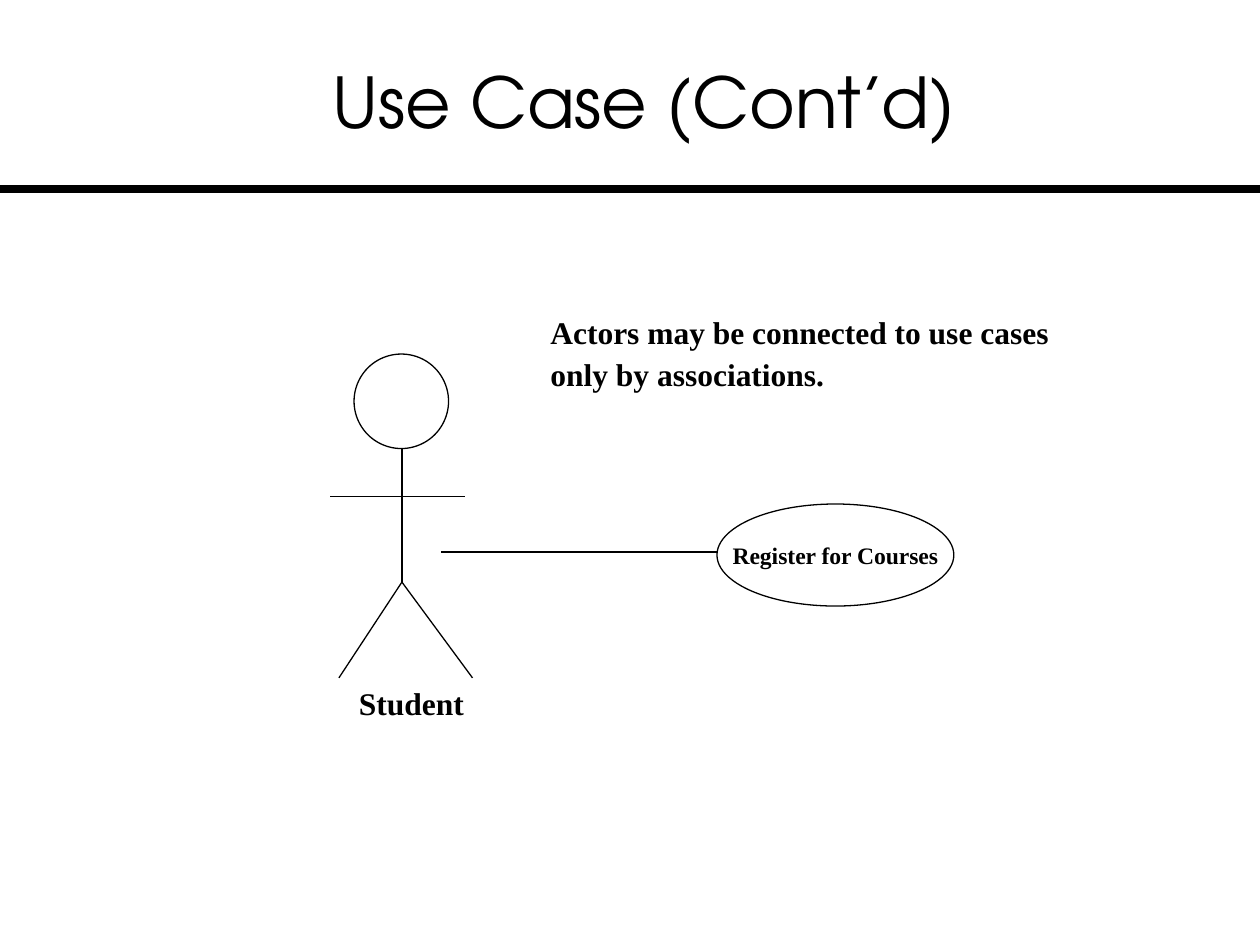
from lxml.etree import SubElement
from pptx import Presentation
from pptx.dml.color import RGBColor
from pptx.enum.shapes import MSO_CONNECTOR, MSO_SHAPE
from pptx.enum.text import MSO_ANCHOR, PP_ALIGN
from pptx.oxml.ns import qn
from pptx.util import Inches, Pt

# Content
TITLE = "Use Case (Cont’d)"
NOTE = ["Actors may be connected to use cases", "only by associations."]
ACTOR = "Student"
USE_CASE = "Register for Courses"

COLORS = {"ink": "000000", "paper": "FFFFFF"}
TITLE_FONT, BODY_FONT = "TeX Gyre Adventor", "Times New Roman"

# Stick figure joints, in inches
HEAD = (2.81, 2.81, 0.75, 0.75)
NECK, HIP = (3.19, 3.56), (3.19, 4.62)
HANDS = (2.62, 3.94), (3.69, 3.94)
FEET = (3.75, 5.38), (2.69, 5.38)

# Lines: start, end, width in points
LIMBS = [(NECK, HIP), *[(HIP, foot) for foot in FEET], HANDS]
LINES = [((0, 1.5), (10, 1.5), 4.5),  # rule under the title
         *[(start, end, 0.75) for start, end in LIMBS],
         ((3.5, 4.38), (5.69, 4.38), 1.5)]  # association


def color(name):
    return RGBColor.from_string(COLORS[name])


def add_line(page, start, end, width):
    line = page.shapes.add_connector(
        MSO_CONNECTOR.STRAIGHT, *[Inches(v) for v in (*start, *end)])
    line.line.color.rgb = color("ink")
    line.line.width = Pt(width)
    SubElement(line._element.spPr, qn("a:effectLst"))


def add_ellipse(page, place):
    ellipse = page.shapes.add_shape(MSO_SHAPE.OVAL, *[Inches(v) for v in place])
    ellipse.shadow.inherit = False
    ellipse.fill.background()
    ellipse.line.color.rgb = color("ink")
    ellipse.line.width = Pt(0.75)
    return ellipse


def write(frame, lines, size, font=BODY_FONT, bold=True, align=PP_ALIGN.LEFT,
          anchor=MSO_ANCHOR.MIDDLE, wrap=False, spacing=None):
    frame.word_wrap = wrap
    frame.vertical_anchor = anchor
    for index, text in enumerate(lines):
        para = frame.add_paragraph() if index else frame.paragraphs[0]
        para.alignment = align
        para.line_spacing = spacing
        para.space_before = Pt(size / 2 if index else 0)
        span = para.add_run()
        span.text = text
        span.font.name = font
        span.font.size = Pt(size)
        span.font.bold = bold
        span.font.color.rgb = color("ink")


def add_text(page, place, lines, **style):
    box = page.shapes.add_textbox(*[Inches(v) for v in place])
    write(box.text_frame, lines, 18, **style)


def main():
    deck = Presentation()
    deck.slide_width, deck.slide_height = Inches(10), Inches(7.5)
    page = deck.slides.add_slide(deck.slide_layouts[5])
    page.background.fill.solid()
    page.background.fill.fore_color.rgb = color("paper")

    # Title
    title = page.shapes.title
    title.left, title.top = Inches(0.42), Inches(0.17)
    title.width, title.height = Inches(9.38), Inches(1.25)
    title.text_frame.margin_left = title.text_frame.margin_right = 0
    write(title.text_frame, [TITLE], 40, font=TITLE_FONT, bold=False,
          align=PP_ALIGN.CENTER, wrap=True)

    # Actor, use case and the lines between them
    add_ellipse(page, HEAD)
    use_case = add_ellipse(page, (5.69, 4, 1.88, 0.81))
    write(use_case.text_frame, [USE_CASE], 13.5, align=PP_ALIGN.CENTER)
    for start, end, width in LINES:
        add_line(page, start, end, width)

    # Note and actor name
    add_text(page, (4.27, 2.5, 4.26, 0.68), NOTE, spacing=0.7)
    add_text(page, (2.75, 5.38, 1.06, 0.4), [ACTOR],
             anchor=MSO_ANCHOR.TOP, wrap=True)

    deck.save("out.pptx")


if __name__ == "__main__":
    main()
